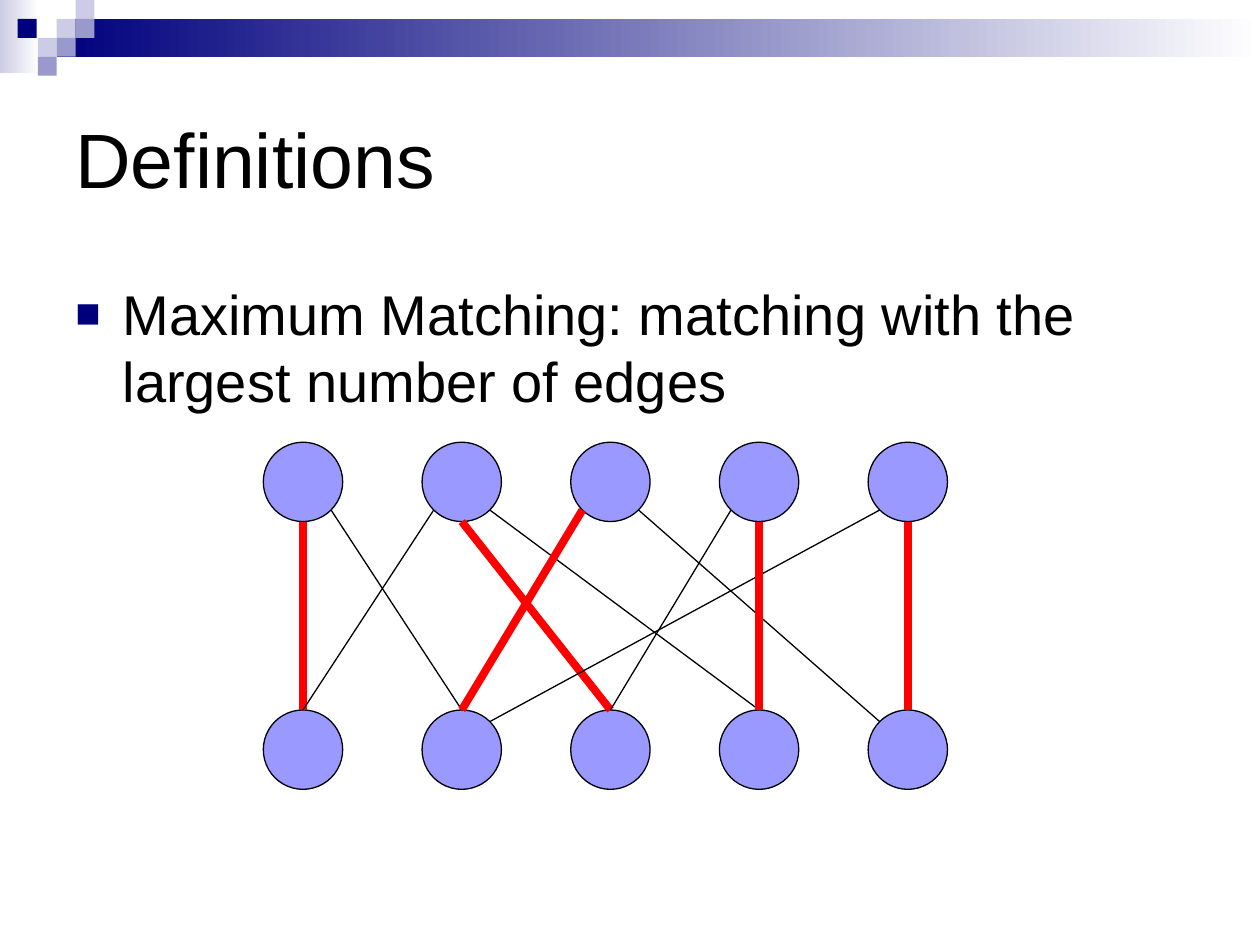
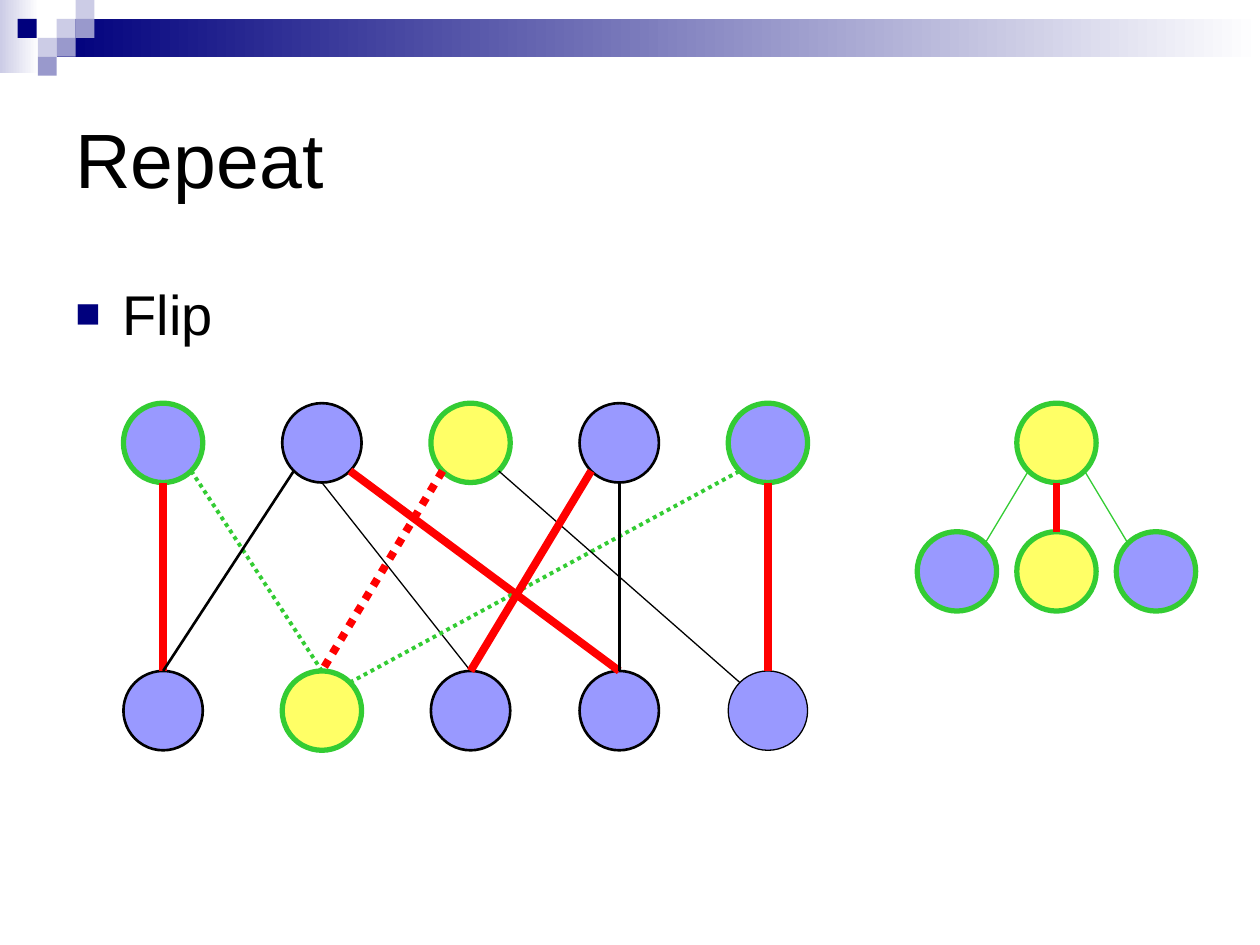
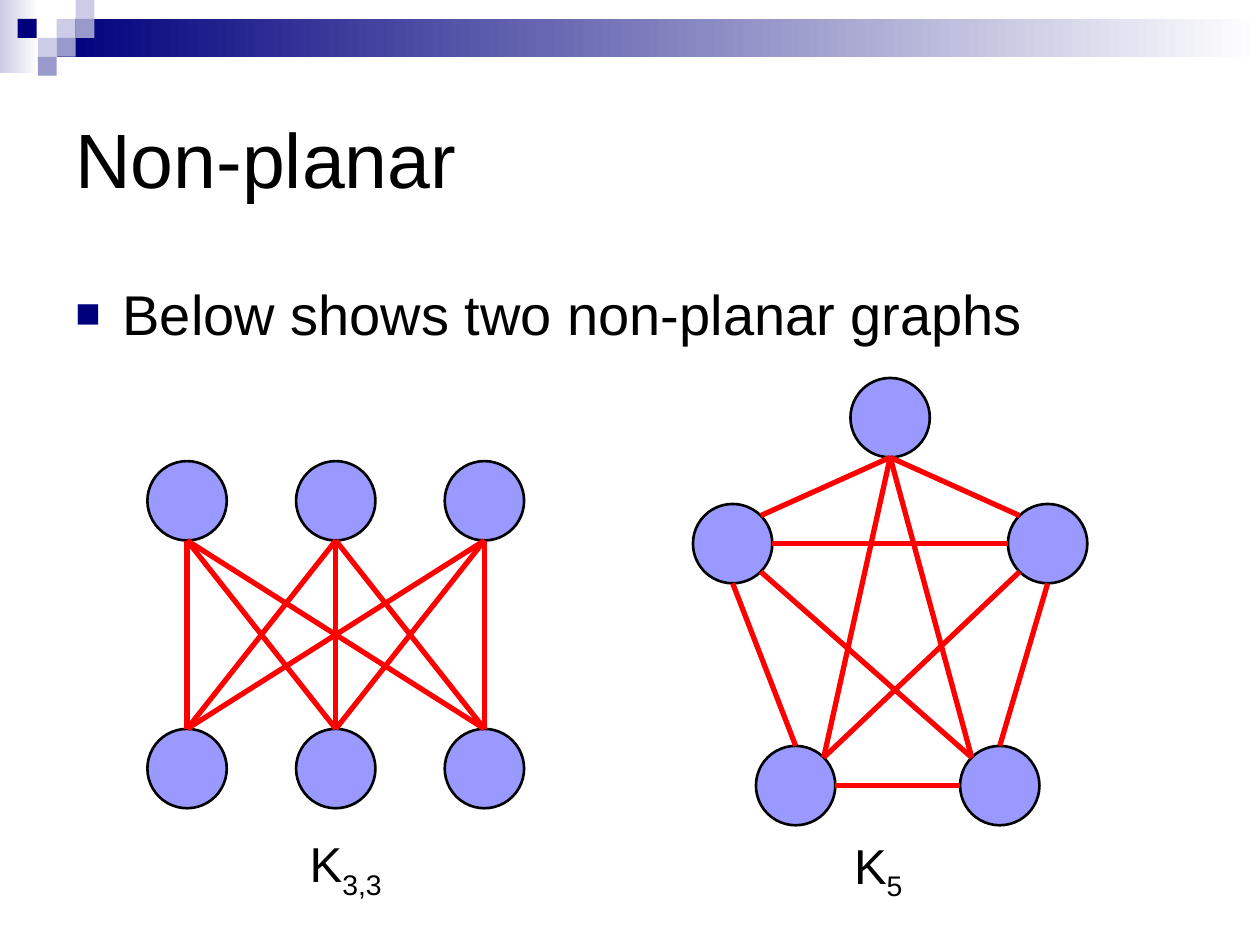
from dataclasses import dataclass
from itertools import product
from math import cos, radians, sin

from lxml.etree import SubElement
from pptx import Presentation
from pptx.dml.color import RGBColor
from pptx.enum.dml import MSO_LINE
from pptx.enum.shapes import MSO_CONNECTOR, MSO_SHAPE
from pptx.enum.text import MSO_ANCHOR, MSO_AUTO_SIZE
from pptx.oxml.ns import qn
from pptx.util import Inches, Pt


@dataclass(frozen=True)
class Theme:
    font: str = "Arial"
    title_size: int = 44
    body_size: int = 32
    caption_size: int = 28
    black: str = "000000"
    white: str = "FFFFFF"
    navy: str = "00007D"
    lavender: str = "CCCCE6"
    slate: str = "9999CC"
    periwinkle: str = "9999FF"
    yellow: str = "FFFF66"
    red: str = "FF0000"
    green: str = "33CC33"


@dataclass(frozen=True)
class Stroke:
    color: str
    width: float
    dash: MSO_LINE | None = None


THEME = Theme()
THIN = Stroke(THEME.black, 0.75)
MEDIUM = Stroke(THEME.black, 1.5)
MATCHED = Stroke(THEME.red, 4.5)
MATCHED_DOTTED = Stroke(THEME.red, 4.5, MSO_LINE.ROUND_DOT)
RED = Stroke(THEME.red, 3)
VISITED = Stroke(THEME.green, 3)
TREE = Stroke(THEME.green, 0.75)
TREE_DOTTED = Stroke(THEME.green, 2.25, MSO_LINE.ROUND_DOT)

NODE_SIZE = 0.63
COLUMN_STEP = 1.18
ROW_GAP = 2.125
COMPASS = ("E", "SE", "S", "SW", "W", "NW", "N", "NE")
TILE = 0.15
TILES = (
    (0.45, 0.15, THEME.lavender), (0.6, 0, THEME.lavender), (0.6, 0.15, THEME.slate),
    (0.3, 0.3, THEME.lavender), (0.14, 0.15, THEME.navy), (0.45, 0.3, THEME.slate),
    (0.3, 0.45, THEME.slate),
)

# Each edge: start node, its side, end node, its side. Top row is 0-4, bottom row 5-9.
BIPARTITE_EDGES = (
    (0, "SE", 6, "N"), (0, "S", 5, "N"), (1, "SE", 8, "N"), (1, "S", 7, "N"),
    (1, "SW", 5, "N"), (6, "NE", 4, "SW"), (4, "S", 9, "N"), (2, "SE", 9, "NW"),
    (3, "SW", 7, "N"), (3, "S", 8, "N"), (2, "SW", 6, "N"),
)
K5_NODES = ((5.5, 4), (6.75, 3), (8, 4), (6, 5.92), (7.62, 5.92))
K5_EDGES = (
    (0, "S", 3, "N"), (0, "SE", 4, "NW"), (3, "E", 4, "W"), (1, "S", 4, "NW"),
    (2, "W", 0, "E"), (2, "S", 4, "N"), (1, "S", 3, "NE"), (0, "NE", 1, "S"),
    (3, "NE", 2, "SW"), (1, "S", 2, "NW"),
)


def rgb(color):
    return RGBColor.from_string(color)


def rim_point(node, side):
    """Point on the rim of a node, given as (left, top), at a compass side."""
    angle = radians(45 * COMPASS.index(side))
    radius = NODE_SIZE / 2
    left, top = node
    return left + radius * (1 + cos(angle)), top + radius * (1 + sin(angle))


def two_rows(left, top, offsets):
    return [(left + offset, top + row * ROW_GAP) for row in (0, 1) for offset in offsets]


class SlideBuilder:
    def __init__(self, deck, theme):
        self.deck = deck
        self.theme = theme
        self.page = None

    def start_page(self, title, bullet):
        self.page = self.deck.slides.add_slide(self.deck.slide_layouts[6])
        self.gradient(0, 0, 0.31, 0.58, self.theme.lavender)
        self.gradient(0.45, 0.15, 9.55, 0.3, self.theme.navy)
        for left, top, color in TILES:
            self.shape(MSO_SHAPE.RECTANGLE, left, top, TILE, TILE, color)
        heading = self.text(0.5, 0.5, 9, 1.5, title, self.theme.title_size)
        heading.vertical_anchor = MSO_ANCHOR.MIDDLE
        self.bullet(self.text(0.5, 2.17, 9, 4.25, bullet, self.theme.body_size))

    def shape(self, kind, left, top, width, height, color, stroke=None):
        shape = self.page.shapes.add_shape(
            kind, Inches(left), Inches(top), Inches(width), Inches(height))
        shape.shadow.inherit = False
        shape.fill.solid()
        shape.fill.fore_color.rgb = rgb(color)
        if stroke:
            self.draw(shape.line, stroke)
        else:
            shape.line.fill.background()
        return shape

    def gradient(self, left, top, width, height, color):
        """Band that fades from the colour to white, left to right."""
        band = self.shape(MSO_SHAPE.RECTANGLE, left, top, width, height, color)
        band.fill.gradient()
        band.fill.gradient_angle = 0
        for stop, stop_color in zip(band.fill.gradient_stops, (color, self.theme.white)):
            stop.color.rgb = rgb(stop_color)

    def draw(self, line, stroke):
        line.color.rgb = rgb(stroke.color)
        line.width = Pt(stroke.width)
        if stroke.dash:
            line.dash_style = stroke.dash

    def text(self, left, top, width, height, words, size):
        box = self.page.shapes.add_textbox(
            Inches(left), Inches(top), Inches(width), Inches(height))
        frame = box.text_frame
        frame.word_wrap = True
        para = frame.paragraphs[0]
        para.add_run().text = words
        para.font.name = self.theme.font
        para.font.size = Pt(size)
        para.font.color.rgb = rgb(self.theme.black)
        return frame

    def bullet(self, frame):
        para = frame.paragraphs[0]
        para.space_before = Pt(8)
        properties = para._p.get_or_add_pPr()
        properties.set("marL", str(Inches(0.375)))
        properties.set("indent", str(Inches(-0.375)))
        marks = [SubElement(properties, qn(tag)) for tag in
                 ("a:buClr", "a:buSzPct", "a:buFont", "a:buChar")]
        color, size, font, char = marks
        SubElement(color, qn("a:srgbClr")).set("val", self.theme.navy)
        size.set("val", "75000")
        font.set("typeface", self.theme.font)
        char.set("char", "■")
        # The schema wants the default run properties after the bullet.
        properties.append(properties.find(qn("a:defRPr")))

    def caption(self, left, top, width, letter, subscript):
        frame = self.text(left, top, width, 0.63, letter, self.theme.caption_size)
        frame.word_wrap = False
        frame.auto_size = MSO_AUTO_SIZE.SHAPE_TO_FIT_TEXT
        span = frame.paragraphs[0].add_run()
        span.text = subscript
        span._r.get_or_add_rPr().set("baseline", "-25000")

    def node(self, node, stroke, color=None):
        self.shape(MSO_SHAPE.OVAL, *node, NODE_SIZE, NODE_SIZE,
                   color or self.theme.periwinkle, stroke)

    def edge(self, nodes, ends, stroke):
        start, start_side, end, end_side = ends
        points = rim_point(nodes[start], start_side) + rim_point(nodes[end], end_side)
        line = self.page.shapes.add_connector(
            MSO_CONNECTOR.STRAIGHT, *(Inches(value) for value in points))
        self.draw(line.line, stroke)
        SubElement(line._element.spPr, qn("a:effectLst"))


def bipartite_nodes(left, top):
    """Five columns; the first gap is a little wider than the rest."""
    return two_rows(left, top, [0] + [1.26 + COLUMN_STEP * column for column in range(4)])


def definitions(builder):
    builder.start_page("Definitions",
                       "Maximum Matching: matching with the largest number of edges")
    nodes = bipartite_nodes(2.09, 3.51)
    for node in nodes:
        builder.node(node, THIN)
    matching = {(0, 5), (1, 7), (2, 6), (3, 8), (4, 9)}
    for ends in BIPARTITE_EDGES:
        builder.edge(nodes, ends, MATCHED if (ends[0], ends[2]) in matching else THIN)


def repeat(builder):
    builder.start_page("Repeat", "Flip")
    nodes = bipartite_nodes(0.98, 3.2)
    yellow = THEME.yellow
    styles = {0: (VISITED,), 2: (VISITED, yellow), 4: (VISITED,),
              6: (VISITED, yellow), 9: (THIN,)}
    for index, node in enumerate(nodes):
        builder.node(node, *styles.get(index, (MEDIUM,)))
    strokes = (TREE_DOTTED, MATCHED, MATCHED, THIN, MEDIUM, TREE_DOTTED,
               MATCHED, THIN, MATCHED, MEDIUM, MATCHED_DOTTED)
    for ends, stroke in zip(BIPARTITE_EDGES, strokes):
        builder.edge(nodes, ends, stroke)

    tree = ((8.07, 3.2), (8.07, 4.22), (7.28, 4.22), (8.86, 4.22))
    for node, color in zip(tree, (yellow, yellow, None, None)):
        builder.node(node, VISITED, color)
    builder.edge(tree, (0, "SE", 3, "NW"), TREE)
    builder.edge(tree, (0, "S", 1, "N"), MATCHED)
    builder.edge(tree, (0, "SW", 2, "NE"), TREE)


def non_planar(builder):
    builder.start_page("Non-planar", "Below shows two non-planar graphs")
    k33_nodes = two_rows(1.17, 3.66, [COLUMN_STEP * column for column in range(3)])
    k33_edges = [(top, "S", bottom, "N") for top, bottom in product(range(3), range(3, 6))]
    for nodes, edges in ((k33_nodes, k33_edges), (K5_NODES, K5_EDGES)):
        for node in nodes:
            builder.node(node, MEDIUM)
        for ends in edges:
            builder.edge(nodes, ends, RED)
    builder.caption(2.36, 6.57, 0.8, "K", "3,3")
    builder.caption(6.68, 6.58, 0.61, "K", "5")


def main():
    deck = Presentation()
    deck.slide_width = Inches(10)
    deck.slide_height = Inches(7.5)
    builder = SlideBuilder(deck, THEME)
    for build_page in (definitions, repeat, non_planar):
        build_page(builder)
    deck.save("out.pptx")


if __name__ == "__main__":
    main()
